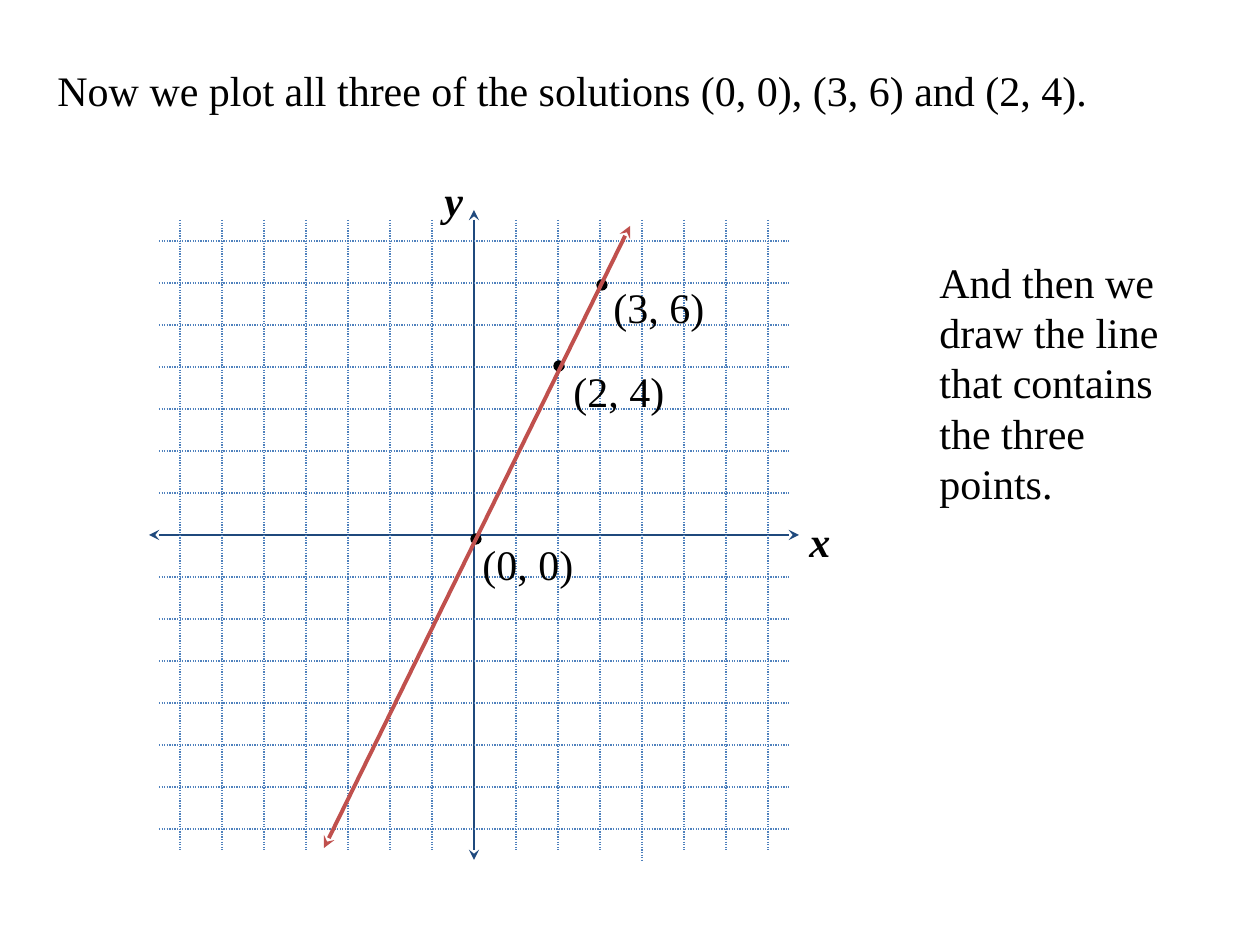
from lxml import etree
from pptx import Presentation
from pptx.dml.color import RGBColor
from pptx.enum.dml import MSO_LINE
from pptx.enum.shapes import MSO_CONNECTOR, MSO_SHAPE
from pptx.enum.text import MSO_AUTO_SIZE
from pptx.oxml.ns import qn
from pptx.util import Emu, Pt

STRAIGHT = MSO_CONNECTOR.STRAIGHT
OVAL = MSO_SHAPE.OVAL
DOTTED = MSO_LINE.ROUND_DOT
GROW = MSO_AUTO_SIZE.SHAPE_TO_FIT_TEXT

COLORS = {"text": "000000", "axis": "1F497D", "grid": "4F81BD", "graph": "C0504D"}
FONT = "Times New Roman"
ORIGIN_X, ORIGIN_Y = 474, 535
UNIT = 42
HALF_GRID = 315
HALF_AXIS = 325
POINTS = [
    ("(3, 6)", (602, 285), (601, 275, 127)),
    ("(0, 0)", (476, 539), (470, 532, 127)),
    ("(2, 4)", (559, 366), (561, 359, 150)),
]


def px(n):
    """Convert pixels at 126 per inch to EMU."""
    return Emu(round(n * 914400 / 126))


def color(name):
    """Look up a named colour."""
    return RGBColor.from_string(COLORS[name])


def add_text(s, text, x, y, w, h=63, wrap=True, strong=False):
    """Add a text box with one run."""
    tf = s.shapes.add_textbox(px(x), px(y), px(w), px(h)).text_frame
    tf.word_wrap = wrap
    tf.auto_size = GROW
    r = tf.paragraphs[0].add_run()
    r.text = text
    r.font.name = FONT
    r.font.size = Pt(24)
    r.font.color.rgb = color("text")
    if strong:
        r.font.bold = r.font.italic = True


def add_line(s, x1, y1, x2, y2, name, width, arrows=False):
    """Add a straight line, dotted for the grid or arrowed at both ends."""
    c = s.shapes.add_connector(STRAIGHT, px(x1), px(y1), px(x2), px(y2))
    c.line.color.rgb = color(name)
    c.line.width = Pt(width)
    if name == "grid":
        c.line.dash_style = DOTTED
    if arrows:
        ln = c.line._get_or_add_ln()
        for end in ("a:headEnd", "a:tailEnd"):
            etree.SubElement(ln, qn(end), type="stealth")
    etree.SubElement(c._element.spPr, qn("a:effectLst"))


def add_dot(s, x, y, size=10):
    """Add a plotted point centred on x, y."""
    dot = s.shapes.add_shape(OVAL, px(x - size / 2), px(y - size / 2), px(size), px(size))
    dot.shadow.inherit = False
    dot.fill.solid()
    dot.fill.fore_color.rgb = color("text")
    dot.line.color.rgb = color("text")
    dot.line.width = Pt(0.75)


def add_plane(s):
    """Add the axes, the grid lines and the axis names."""
    left, right = ORIGIN_X - HALF_GRID, ORIGIN_X + HALF_GRID
    top, bottom = ORIGIN_Y - HALF_GRID, ORIGIN_Y + HALF_GRID
    add_line(s, ORIGIN_X, ORIGIN_Y - HALF_AXIS, ORIGIN_X, ORIGIN_Y + HALF_AXIS, "axis", 1.5, True)
    add_line(s, ORIGIN_X - HALF_AXIS, ORIGIN_Y, ORIGIN_X + HALF_AXIS, ORIGIN_Y, "axis", 1.5, True)
    for step in range(-7, 8):
        if step == 0:
            continue
        x, y = ORIGIN_X + step * UNIT, ORIGIN_Y + step * UNIT
        add_line(s, left, y, right, y, "grid", 0.75)
        add_line(s, x, top, x, bottom + (10 if step == 4 else 0), "grid", 0.75)
    add_text(s, "x", 797, 509, 47, wrap=False, strong=True)
    add_text(s, "y", 432, 168, 44, wrap=False, strong=True)


def main():
    """Build the slide and save it."""
    prs = Presentation()
    prs.slide_width, prs.slide_height = px(1260), px(945)
    s = prs.slides.add_slide(prs.slide_layouts[6])
    add_text(s, "Now we plot all three of the solutions (0, 0), (3, 6) and (2, 4).", 45, 58, 1143)
    add_plane(s)
    for _, center, _ in POINTS:
        add_dot(s, *center)
    for label, _, box in POINTS:
        add_text(s, label, *box)
    add_text(s, "And then we draw the line that contains the three points.", 927, 250, 271, 265)
    add_line(s, 630, 226, 324, 848, "graph", 2.25, True)
    prs.save("out.pptx")


if __name__ == "__main__":
    main()
